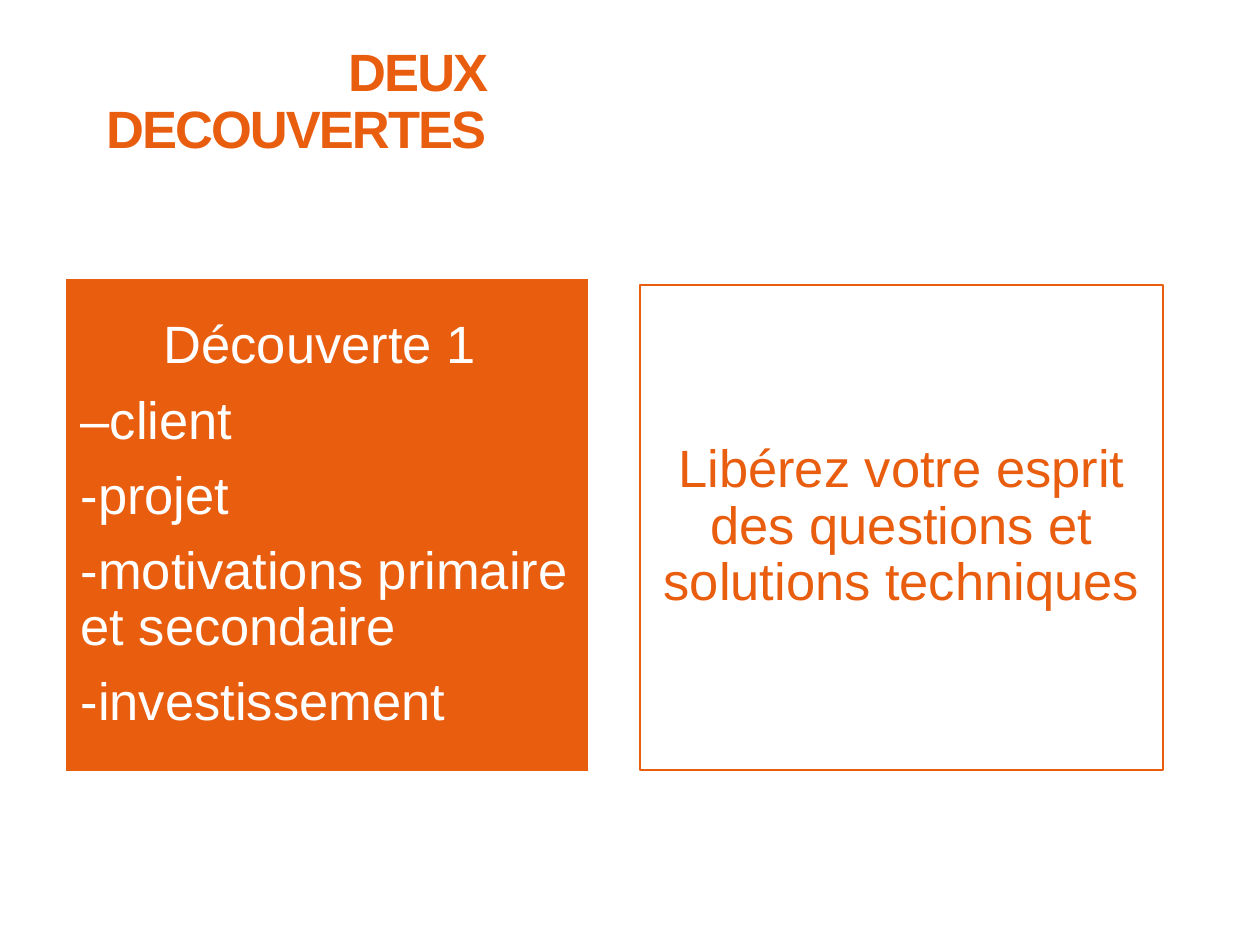
import pptx
import pptx.util
from pptx.dml.color import RGBColor
from pptx.enum.shapes import MSO_SHAPE
from pptx.enum.text import MSO_ANCHOR, PP_ALIGN

Pt = pptx.util.Pt

ORANGE = RGBColor(0xE9, 0x5D, 0x0F)
WHITE = RGBColor(0xFF, 0xFF, 0xFF)
FONT = "Arial"
FONT_SIZE = 30
PANEL_WIDTH = 298.8
PANEL_INSET = 8.64


def write_text(paragraph, text, color, align=PP_ALIGN.LEFT, bold=False,
               space_after=0, tracking=None):
    paragraph.alignment = align
    paragraph.line_spacing = 0.9
    paragraph.space_before = Pt(0)
    paragraph.space_after = Pt(space_after)
    run = paragraph.add_run()
    run.text = text
    run.font.name = FONT
    run.font.size = Pt(FONT_SIZE)
    run.font.bold = bold
    run.font.color.rgb = color
    if tracking is not None:
        run.font._element.set("spc", str(round(tracking * 100)))


def place_title(slide, box, text):
    title = slide.shapes.title
    title.left, title.top, title.width, title.height = map(Pt, box)
    frame = title.text_frame
    frame.word_wrap = True
    frame.auto_size = pptx.enum.text.MSO_AUTO_SIZE.NONE
    frame.vertical_anchor = MSO_ANCHOR.BOTTOM
    write_text(frame.paragraphs[0], text, ORANGE, align=PP_ALIGN.RIGHT,
               bold=True, tracking=-1.1)


def place_panel(slide, box, heading, points, fill, ink):
    """Filled panel with a centred heading and left-aligned points."""
    panel = slide.shapes.add_shape(MSO_SHAPE.RECTANGLE, *map(Pt, box))
    panel.shadow.inherit = False
    panel.fill.solid()
    panel.fill.fore_color.rgb = fill
    panel.line.color.rgb = ink
    panel.line.width = Pt(1)

    frame = panel.text_frame
    frame.word_wrap = True
    frame.vertical_anchor = MSO_ANCHOR.MIDDLE
    frame.margin_left = frame.margin_right = Pt(PANEL_INSET)
    frame.margin_top = frame.margin_bottom = Pt(PANEL_INSET)

    gap = 0.35 * FONT_SIZE
    write_text(frame.paragraphs[0], heading, ink, align=PP_ALIGN.CENTER,
               space_after=gap)
    for point in points:
        write_text(frame.add_paragraph(), point, ink, space_after=gap)


def main():
    deck = pptx.Presentation()
    deck.slide_width, deck.slide_height = Pt(720), Pt(540)
    slide = deck.slides.add_slide(deck.slide_layouts[5])

    # Title
    place_title(slide, (25.92, -9.36, 259.2, 104.4), "DEUX DECOUVERTES")

    # First discovery
    place_panel(
        slide, (37.44, 159.12, PANEL_WIDTH, 282.24), "Découverte 1 ",
        ["–client", "-projet", "-motivations primaire et secondaire",
         "-investissement"],
        fill=ORANGE, ink=WHITE)

    # Advice
    place_panel(
        slide, (365.76, 162.72, PANEL_WIDTH, 277.2),
        "Libérez votre esprit des questions et solutions techniques", [],
        fill=WHITE, ink=ORANGE)

    deck.save("out.pptx")


if __name__ == "__main__":
    main()
